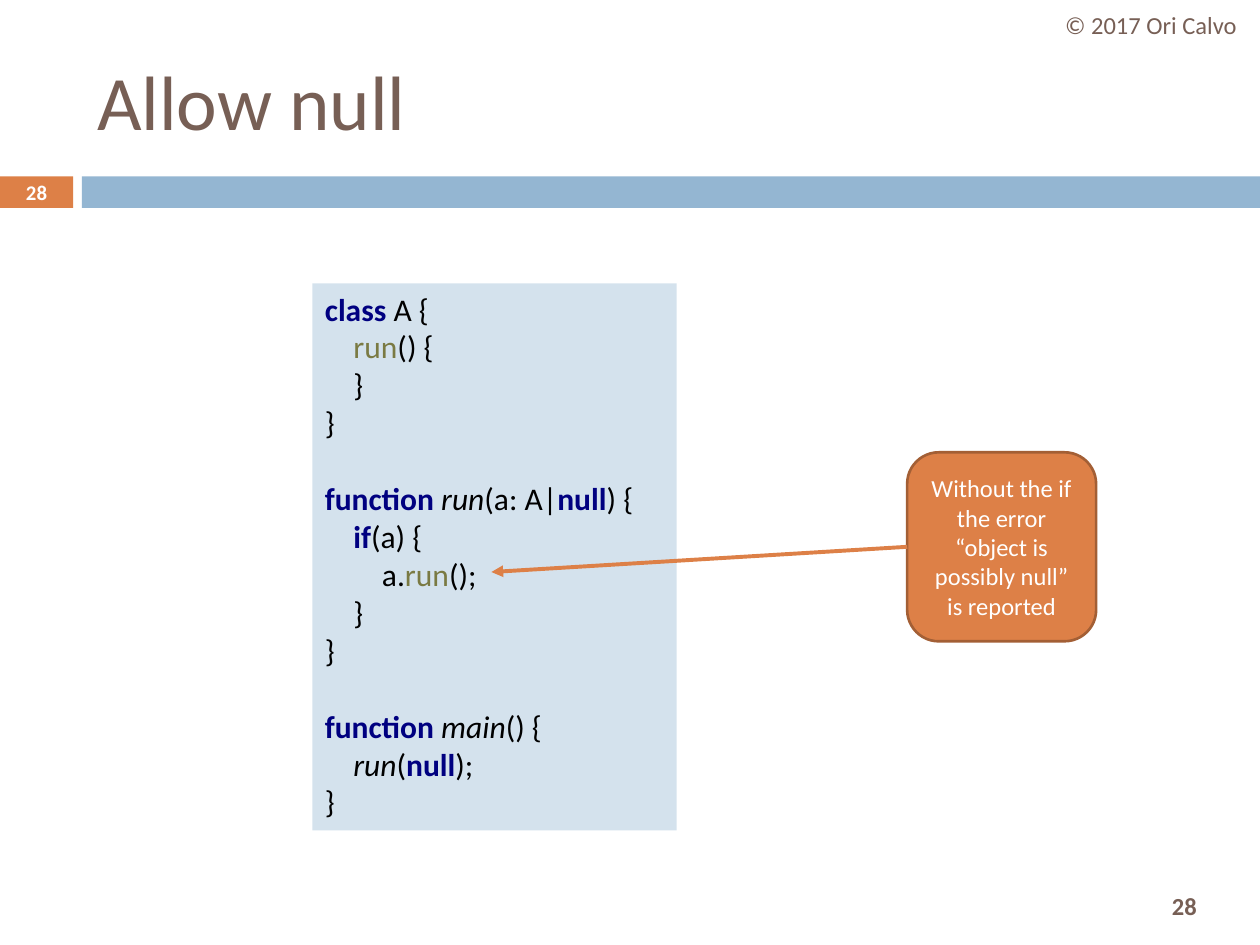
from pptx import Presentation
from pptx.dml.color import RGBColor
from pptx.enum.shapes import MSO_CONNECTOR, MSO_SHAPE
from pptx.enum.text import MSO_ANCHOR, PP_ALIGN
from pptx.oxml.ns import qn
from pptx.util import Inches, Pt
from lxml import etree

RECTANGLE, ROUNDED = MSO_SHAPE.RECTANGLE, MSO_SHAPE.ROUNDED_RECTANGLE
MIDDLE, TOP = MSO_ANCHOR.MIDDLE, MSO_ANCHOR.TOP
LEFT, CENTER = PP_ALIGN.LEFT, PP_ALIGN.CENTER
COLORS = {"brown": "775F55", "orange": "DD8047", "rust": "A35F35",
          "blue": "94B6D2", "pale": "D4E2ED", "white": "FFFFFF",
          "navy": "000080", "olive": "7A7A43", "black": "000000"}
TOKEN_STYLES = {"plain": ("black", False, False), "keyword": ("navy", True, False),
                "method": ("olive", False, False), "name": ("black", False, True)}
CODE_SIZE = 18
INDENT = Pt(16.3)
BLANK_LINE = Pt(22)


def style_run(run, size, color, bold=False, italic=False):
    run.font.name = "Calibri"
    run.font.size = Pt(size)
    run.font.color.rgb = RGBColor.from_string(COLORS[color])
    run.font.bold = bold
    run.font.italic = italic


def add_box(kind, box, fill):
    shape = slide.shapes.add_shape(kind, *map(Inches, box))
    shape.shadow.inherit = False
    shape.fill.solid()
    shape.fill.fore_color.rgb = RGBColor.from_string(COLORS[fill])
    shape.line.fill.background()
    shape.text_frame.word_wrap = True
    return shape


presentation = Presentation()
presentation.slide_width, presentation.slide_height = Inches(10), Inches(7.5)
slide = presentation.slides.add_slide(presentation.slide_layouts[5])

add_box(RECTANGLE, (0, 1.4, 0.58, 0.25), "orange")
add_box(RECTANGLE, (0.65, 1.4, 9.35, 0.25), "blue")

title = slide.shapes.title
title.left, title.top, title.width, title.height = map(Inches, (0.67, 0.25, 8.92, 1.08))
title.text_frame.text = "Allow null"
title.text_frame.vertical_anchor = MIDDLE
title_paragraph = title.text_frame.paragraphs[0]
title_paragraph.alignment = LEFT
style_run(title_paragraph.runs[0], 44, "brown")

labels = [
    ("28", (8.94, 6.98, 0.92, 0.42), 14, "brown", True),
    ("© 2017 Ori Calvo", (8.27, 0, 1.73, 0.4), 14, "brown", False),
    ("28", (0, 1.39, 0.58, 0.27), 11.9, "white", True),
]
for text, box, size, color, bold in labels:
    label = slide.shapes.add_textbox(*map(Inches, box))
    frame = label.text_frame
    frame.word_wrap = True
    frame.margin_left = frame.margin_right = 0
    frame.margin_top = frame.margin_bottom = 0
    frame.vertical_anchor = MIDDLE
    frame.text = text
    frame.paragraphs[0].alignment = CENTER
    style_run(frame.paragraphs[0].runs[0], size, color, bold)

code_lines = [
    (0, [("class ", "keyword"), ("A {", "plain")]),
    (1, [("run", "method"), ("() {", "plain")]),
    (1, [("}", "plain")]),
    (0, [("}", "plain")]),
    (0, [("function ", "keyword"), ("run", "name"), ("(a: A|", "plain"),
         ("null", "keyword"), (") {", "plain")]),
    (1, [("if", "keyword"), ("(a) {", "plain")]),
    (2, [("a.", "plain"), ("run", "method"), ("();", "plain")]),
    (1, [("}", "plain")]),
    (0, [("}", "plain")]),
    (0, [("function ", "keyword"), ("main", "name"), ("() {", "plain")]),
    (1, [("run", "name"), ("(", "plain"), ("null", "keyword"), (");", "plain")]),
    (0, [("}", "plain")]),
]
code_frame = add_box(RECTANGLE, (2.48, 2.25, 2.89, 4.34), "pale").text_frame
code_frame.vertical_anchor = TOP
for index, (level, tokens) in enumerate(code_lines):
    paragraph = code_frame.add_paragraph() if index else code_frame.paragraphs[0]
    paragraph.alignment = LEFT
    paragraph._p.get_or_add_pPr().set("marL", str(INDENT * level))
    if tokens[0][0] == "function ":
        paragraph.space_before = BLANK_LINE
    for text, token in tokens:
        run = paragraph.add_run()
        run.text = text
        style_run(run, CODE_SIZE, *TOKEN_STYLES[token])

callout = add_box(ROUNDED, (7.2, 3.59, 1.5, 1.5), "orange")
callout.line.color.rgb = RGBColor.from_string(COLORS["rust"])
callout.line.width = Pt(1.5)
callout.text_frame.text = "Without the if the error “object is possibly null” is reported"
callout.text_frame.vertical_anchor = MIDDLE
callout.text_frame.paragraphs[0].alignment = CENTER
style_run(callout.text_frame.paragraphs[0].runs[0], 14, "white")

arrow = slide.shapes.add_connector(MSO_CONNECTOR.STRAIGHT, *map(Inches, (7.2, 4.34, 3.9, 4.54)))
arrow.line.color.rgb = RGBColor.from_string(COLORS["orange"])
arrow.line.width = Pt(2.25)
etree.SubElement(arrow.line._get_or_add_ln(), qn("a:tailEnd"), type="triangle")
etree.SubElement(arrow._element.spPr, qn("a:effectLst"))

presentation.save("out.pptx")
